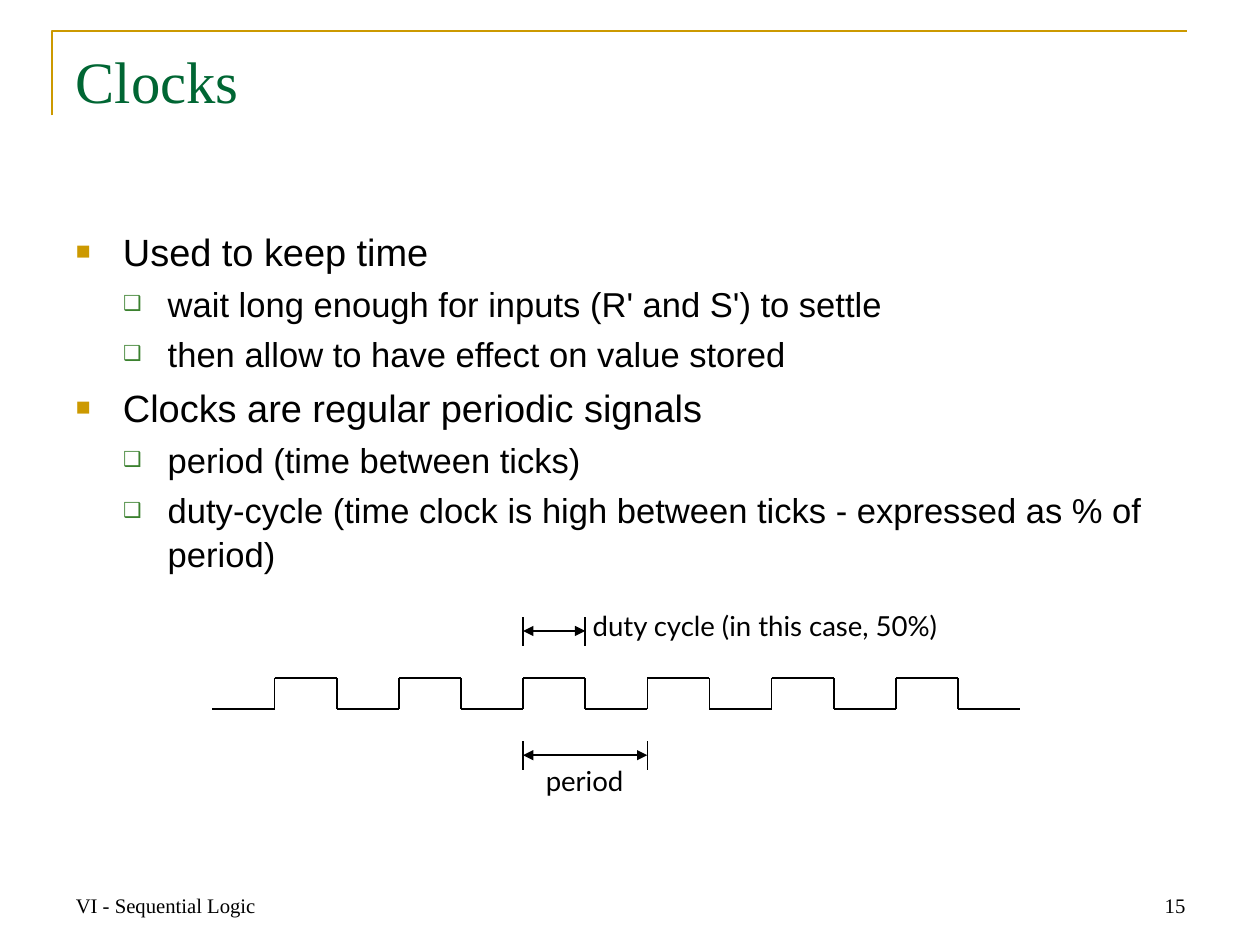
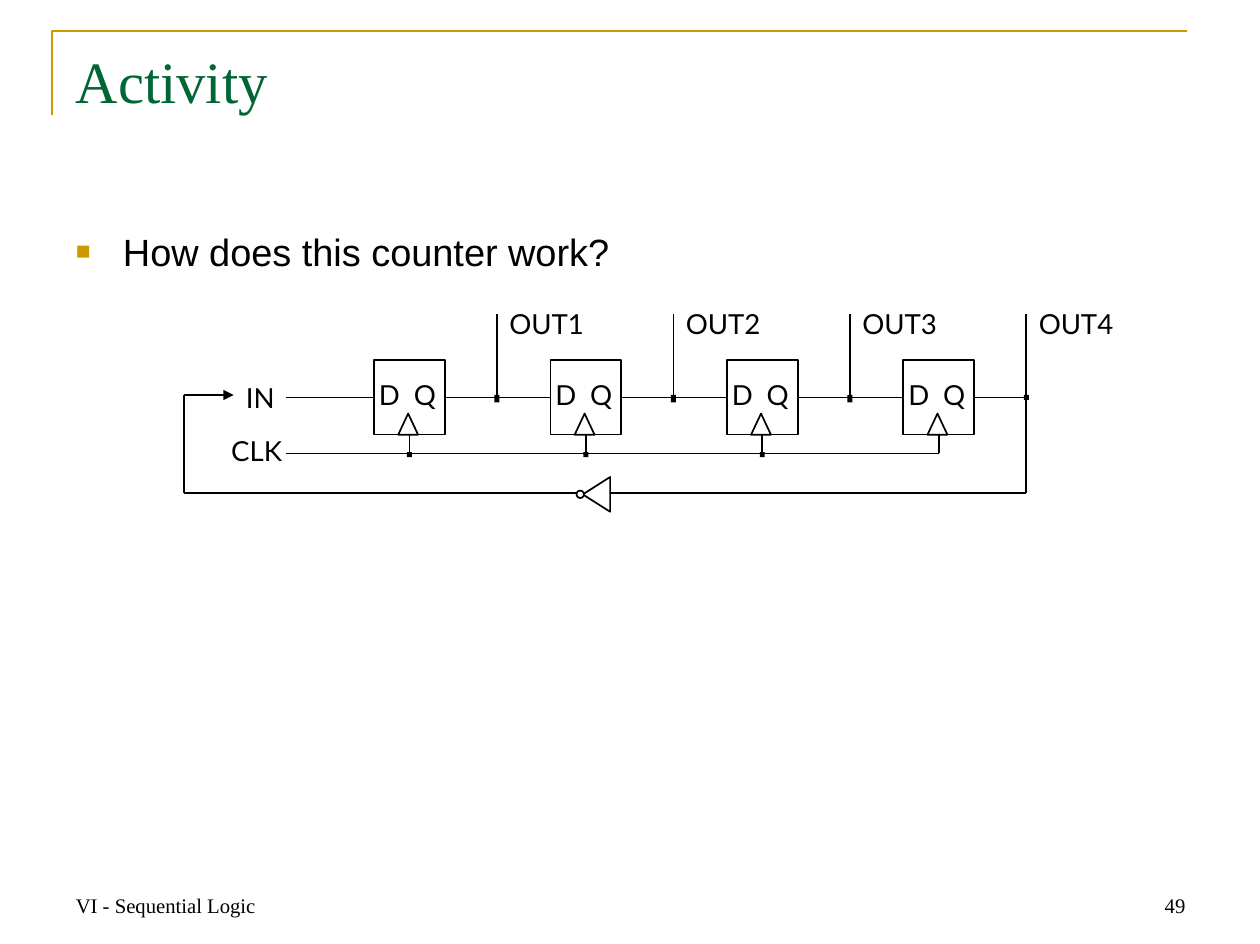
"""Build two lecture slides on sequential logic: clocks and a counter activity."""
from lxml.etree import SubElement
from pptx import Presentation
from pptx.dml.color import RGBColor
from pptx.enum.shapes import MSO_CONNECTOR, MSO_SHAPE
from pptx.enum.text import MSO_ANCHOR, MSO_AUTO_SIZE, PP_ALIGN
from pptx.oxml.ns import qn
from pptx.util import Inches, Pt

BLACK = RGBColor(0, 0, 0)
WHITE = RGBColor(255, 255, 255)
GOLD = RGBColor(0xCC, 0x99, 0x00)
GREEN = RGBColor(0x00, 0x66, 0x33)
LEAF = RGBColor(0x3B, 0x81, 0x2F)
SERIF, SANS, LABEL = "Times New Roman", "Arial", "Lato"
LEFT, MID, RIGHT = PP_ALIGN.LEFT, PP_ALIGN.CENTER, PP_ALIGN.RIGHT
LEVELS = [
    (22, 0.38, 0.38, "■", GOLD, 65),
    (20, 0.74, 0.36, "❑", LEAF, 60),
]
PAGES = [
    ("Clocks", "15", [
        (0, "Used to keep time"),
        (1, "wait long enough for inputs (R' and S') to settle"),
        (1, "then allow to have effect on value stored"),
        (0, "Clocks are regular periodic signals"),
        (1, "period (time between ticks)"),
        (1, "duty-cycle (time clock is high between ticks - expressed as % of period)"),
    ]),
    ("Activity", "49", [(0, "How does this counter work?")]),
]


def link(slide, x1, y1, x2, y2, ends=()):
    """Draw a thin black line, with arrowheads at the named ends."""
    wire = slide.shapes.add_connector(
        MSO_CONNECTOR.STRAIGHT, Inches(x1), Inches(y1), Inches(x2), Inches(y2))
    wire.line.color.rgb = BLACK
    wire.line.width = Pt(1)
    for end in ends:
        SubElement(wire.line._get_or_add_ln(), qn(f"a:{end}"), type="triangle")
    SubElement(wire._element.spPr, qn("a:effectLst"))
    return wire


def label(slide, text, x, y, wide, lead=Pt(17), align=LEFT, face=LABEL, size=16):
    """Write one line of black text."""
    box = slide.shapes.add_textbox(Inches(x), Inches(y), Inches(wide), Inches(0.38))
    frame = box.text_frame
    frame.word_wrap = True
    frame.margin_left = frame.margin_right = Inches(0.02)
    frame.margin_top = frame.margin_bottom = Inches(0.03)
    para = frame.paragraphs[0]
    para.alignment = align
    para.line_spacing = lead
    run = para.add_run()
    run.text = text
    run.font.name = face
    run.font.size = Pt(size)
    run.font.color.rgb = BLACK


prs = Presentation()
prs.slide_width, prs.slide_height = Inches(10.14), Inches(7.6)
layout = prs.slide_layouts[1]
for holder, top, high in zip(layout.placeholders, (0.31, 1.77), (1.26, 5.02)):
    holder.left, holder.width = Inches(0.51), Inches(9.12)
    holder.top, holder.height = Inches(top), Inches(high)

for title, page, items in PAGES:
    slide = prs.slides.add_slide(layout)
    for holder in slide.placeholders:
        holder.text_frame.auto_size = MSO_AUTO_SIZE.NONE
        holder.text_frame.vertical_anchor = MSO_ANCHOR.TOP
    para = slide.shapes.title.text_frame.paragraphs[0]
    para.alignment = LEFT
    run = para.add_run()
    run.text = title
    run.font.name = SERIF
    run.font.size = Pt(34)
    run.font.color.rgb = GREEN

    body = slide.placeholders[1].text_frame
    for row, (level, text) in enumerate(items):
        size, left, hang, mark, tint, share = LEVELS[level]
        para = body.add_paragraph() if row else body.paragraphs[0]
        para.level = level
        props = para._p.get_or_add_pPr()
        props.set("marL", str(Inches(left)))
        props.set("indent", str(-Inches(hang)))
        SubElement(SubElement(props, qn("a:buClr")), qn("a:srgbClr"), val=str(tint))
        SubElement(props, qn("a:buSzPct"), val=str(share * 1000))
        SubElement(props, qn("a:buFont"), typeface=SANS)
        SubElement(props, qn("a:buChar"), char=mark)
        para.line_spacing = 1.05
        para.space_before = Pt(size * 0.2 if row else 0)
        run = para.add_run()
        run.text = text
        run.font.name = SANS
        run.font.size = Pt(size)
        run.font.color.rgb = BLACK

    label(slide, "VI - Sequential Logic", 0.59, 7.16, 2.2, 1.0, LEFT, SERIF, 12)
    label(slide, page, 7.36, 7.16, 2.2, 1.0, RIGHT, SERIF, 12)

clock, count = prs.slides

pen = clock.shapes.build_freeform(Inches(0.42), Inches(0.93))
pen.add_line_segments(
    [(Inches(0.42), Inches(0.25)), (Inches(9.55), Inches(0.25))], close=False)
rule = pen.convert_to_shape()
rule.shadow.inherit = False
rule.fill.background()
rule.line.color.rgb = GOLD
rule.line.width = Pt(1.5)
layout.shapes.element.append(rule._element)

HALF, START, LOW, HIGH = 0.5, 1.71, 5.71, 5.46
for step in range(13):
    x = START + step * HALF
    y = HIGH if step % 2 else LOW
    link(clock, x, y, x + HALF, y)
    if step:
        link(clock, x, LOW, x, HIGH)

rise = START + 5 * HALF
for top, steps in ((4.97, 1), (5.97, 2)):
    fall = rise + steps * HALF
    for x in (rise, fall):
        link(clock, x, top, x, top + 0.23)
    link(clock, rise, top + 0.11, fall, top + 0.11, ("headEnd", "tailEnd"))
label(clock, "duty cycle (in this case, 50%)", 4.75, 4.83, 3.43, Pt(22))
label(clock, "period", 4.12, 6.08, 1.17, Pt(22), MID)

FIRST, PITCH, WIDE, TALL = 3.01, 1.42, 0.57, 0.6
TOP, DATA, TICK, BACK = 2.9, 3.2, 3.65, 3.97
TAP, EDGE = 0.99, 1.48
RECT, PEAK, OVAL = MSO_SHAPE.RECTANGLE, MSO_SHAPE.ISOSCELES_TRIANGLE, MSO_SHAPE.OVAL
parts = []
for col in range(4):
    x = FIRST + col * PITCH
    mid, tap = x + WIDE / 2, x + TAP
    parts += [
        (RECT, x, TOP, WIDE, TALL, WHITE),
        (PEAK, mid - 0.09, TOP + TALL - 0.17, 0.16, 0.17, WHITE),
        (RECT, tap - 0.02, DATA - 0.02, 0.04, 0.06 if col < 3 else 0.04, BLACK),
    ]
    if col < 3:
        parts.append((RECT, mid - 0.02, TICK - 0.01, 0.04, 0.04, BLACK))
parts += [
    (PEAK, 4.66, 3.87, 0.28, 0.22, WHITE),
    (OVAL, 4.64, 3.95, 0.06, 0.06, WHITE),
]

flops = []
for kind, x, y, wide, high, tone in parts:
    part = count.shapes.add_shape(kind, Inches(x), Inches(y), Inches(wide), Inches(high))
    part.shadow.inherit = False
    part.fill.solid()
    part.fill.fore_color.rgb = tone
    if tone == BLACK:
        part.line.fill.background()
    else:
        part.line.color.rgb = BLACK
        part.line.width = Pt(1)
    if wide == WIDE:
        flops.append(part)
    if wide == 0.28:
        part.rotation = 270

past = 2.3
for col, flop in enumerate(flops):
    x = FIRST + col * PITCH
    mid, tap = x + WIDE / 2, x + TAP
    link(count, past, DATA, x, DATA).end_connect(flop, 1)
    link(count, x + WIDE, DATA, tap, DATA).begin_connect(flop, 3)
    link(count, mid, TOP + TALL, mid, TICK).begin_connect(flop, 2)
    link(count, tap, 2.53, tap, DATA)
    label(count, "D", x + 0.02, 3.04, 0.28)
    label(count, "Q", x + 0.3, 3.04, 0.28)
    label(count, f"OUT{col + 1}", tap + 0.08, 2.47, 0.8)
    past = tap

link(count, 2.3, TICK, mid, TICK)
link(count, past, DATA, past, BACK)
link(count, past, BACK, 4.91, BACK)
link(count, 4.64, BACK, EDGE, BACK)
link(count, EDGE, BACK, EDGE, 3.18)
link(count, EDGE, 3.18, 1.88, 3.18, ("tailEnd",))
label(count, "IN", 1.65, 3.07, 0.58, align=RIGHT)
label(count, "CLK", 1.73, 3.49, 0.56, align=RIGHT)

prs.save("out.pptx")
